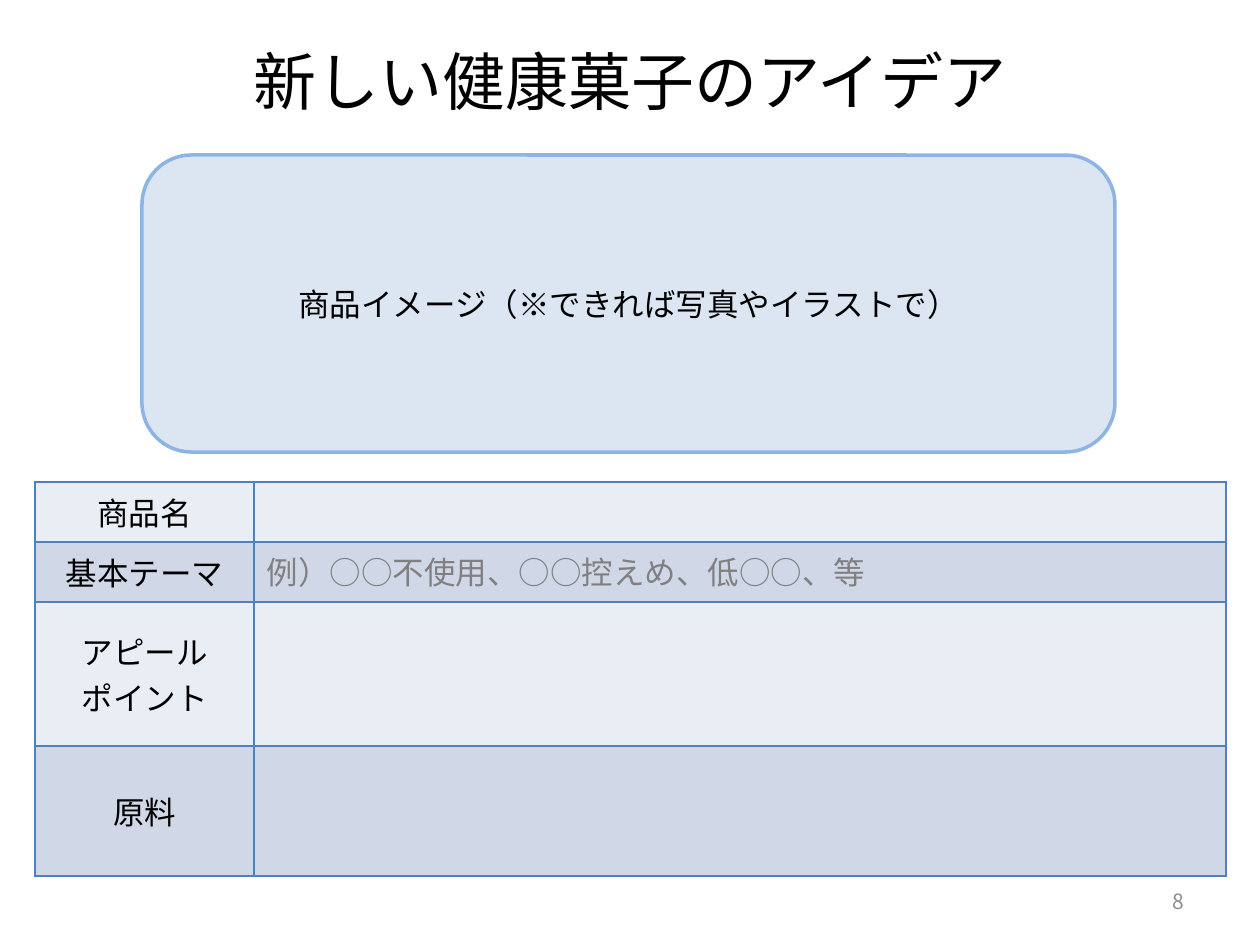
"""Build the idea sheet slide for a new health snack."""
from lxml.etree import SubElement
from pptx import Presentation
from pptx.dml.color import RGBColor
from pptx.enum.shapes import MSO_SHAPE
from pptx.enum.text import MSO_ANCHOR, PP_ALIGN
from pptx.oxml.ns import qn
from pptx.util import Emu, Pt

FONT = "Noto Sans CJK JP"
BORDER = "4F81BD"
BANDS = ("E9EDF4", "D0D8E8")
TITLE = "新しい健康菓子のアイデア"
IMAGE_NOTE = "商品イメージ（※できれば写真やイラストで）"
PAGE = "8"
ROWS = [
    ("商品名", "", 60),
    ("基本テーマ", "例）○○不使用、○○控えめ、低○○、等", 60),
    ("アピール\nポイント", "", 144),
    ("原料", "", 130),
]
COLUMNS = (219, 972)


def px(length):
    return Emu(length * 914400 // 126)


def box(*lengths):
    return [px(length) for length in lengths]


def color(hex_string):
    return RGBColor.from_string(hex_string)


def write(frame, text, size=18, ink="000000", align=PP_ALIGN.CENTER,
          anchor=MSO_ANCHOR.MIDDLE, after=0):
    frame.word_wrap = True
    frame.vertical_anchor = anchor
    paragraph = frame.paragraphs[0]
    paragraph.text = text
    paragraph.alignment = align
    paragraph.space_after = Pt(after)
    for run in paragraph.runs:
        run.font.size = Pt(size)
        run.font.name = FONT
        run.font.color.rgb = color(ink)
        SubElement(run.font._element, qn("a:ea"), typeface=FONT)


def style_cell(cell, fill):
    properties = cell._tc.get_or_add_tcPr()
    for side in ("lnL", "lnR", "lnT", "lnB"):
        line = SubElement(properties, qn(f"a:{side}"), w=str(Pt(1)))
        solid = SubElement(line, qn("a:solidFill"))
        SubElement(solid, qn("a:srgbClr"), val=BORDER)
    cell.fill.solid()
    cell.fill.fore_color.rgb = color(fill)


def add_idea_table(slide):
    heights = [height for _, _, height in ROWS]
    area = box(35, 482, sum(COLUMNS), sum(heights))
    table = slide.shapes.add_table(len(ROWS), len(COLUMNS), *area).table
    for column, width in zip(table.columns, COLUMNS):
        column.width = px(width)
    for index, (label, example, height) in enumerate(ROWS):
        table.rows[index].height = px(height)
        label_cell, example_cell = table.rows[index].cells
        for cell in (label_cell, example_cell):
            style_cell(cell, BANDS[index % 2])
        label_cell.vertical_anchor = MSO_ANCHOR.MIDDLE
        write(label_cell.text_frame, label, anchor=None)
        if example:
            write(example_cell.text_frame, example, ink="808080",
                  align=PP_ALIGN.LEFT, anchor=None, after=12)


def main():
    deck = Presentation()
    deck.slide_width, deck.slide_height = box(1260, 945)
    slide = deck.slides.add_slide(deck.slide_layouts[5])

    title = slide.shapes.title
    title.left, title.top, title.width, title.height = box(63, 38, 1134, 84)
    write(title.text_frame, TITLE, size=36)

    page = slide.shapes.add_textbox(*box(903, 876, 294, 50))
    write(page.text_frame, PAGE, size=12, ink="8C8C8C", align=PP_ALIGN.RIGHT)

    add_idea_table(slide)

    image_area = slide.shapes.add_shape(
        MSO_SHAPE.ROUNDED_RECTANGLE, *box(142, 155, 973, 297))
    image_area.shadow.inherit = False
    image_area.fill.solid()
    image_area.fill.fore_color.rgb = color("DCE6F2")
    image_area.line.color.rgb = color("8EB4E3")
    image_area.line.width = Pt(2)
    write(image_area.text_frame, IMAGE_NOTE)

    deck.save("out.pptx")


if __name__ == "__main__":
    main()
